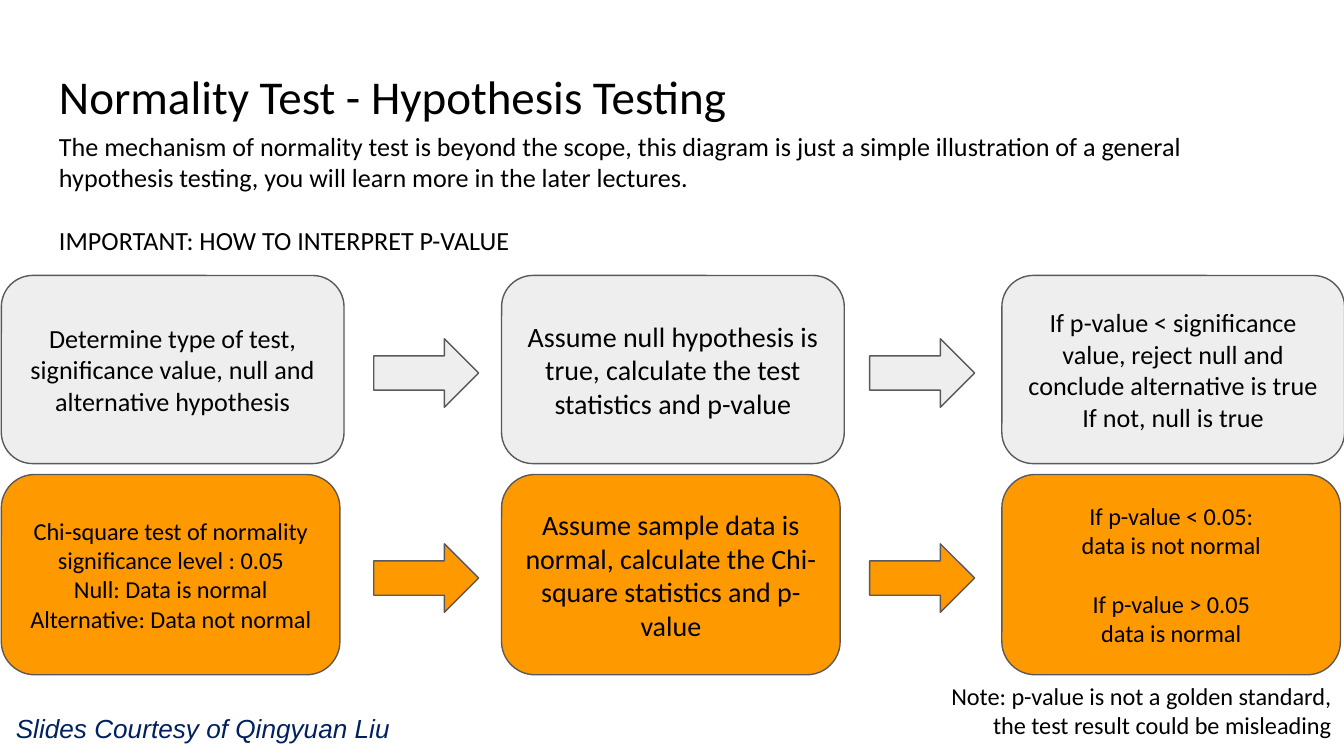
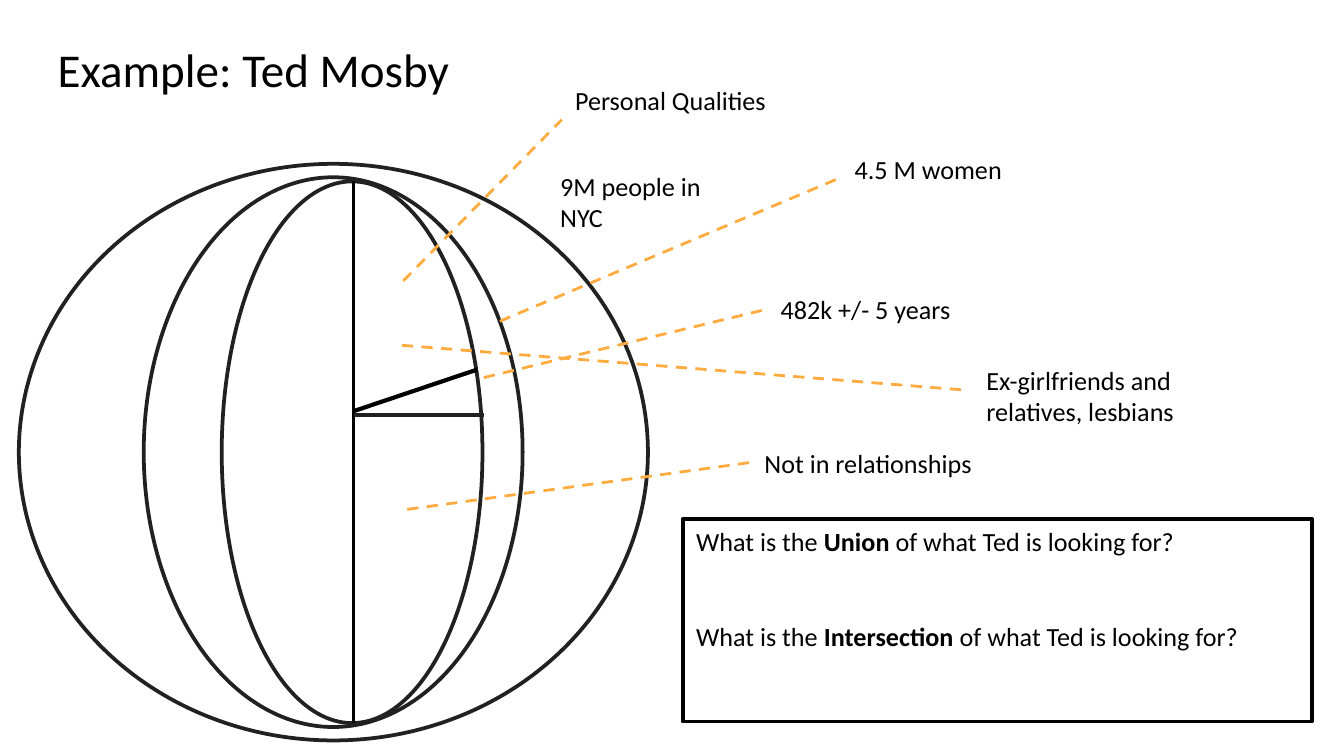
from lxml import etree
from pptx import Presentation
from pptx.dml.color import RGBColor
from pptx.enum.dml import MSO_LINE
from pptx.enum.shapes import MSO_CONNECTOR, MSO_SHAPE
from pptx.enum.text import MSO_ANCHOR, PP_ALIGN
from pptx.oxml.ns import qn
from pptx.util import Pt

STRAIGHT = MSO_CONNECTOR.STRAIGHT
DASH = MSO_LINE.DASH
PROCESS = MSO_SHAPE.FLOWCHART_ALTERNATE_PROCESS
ARROW = MSO_SHAPE.RIGHT_ARROW
OVAL = MSO_SHAPE.OVAL
RECTANGLE = MSO_SHAPE.RECTANGLE
MIDDLE, TOP = MSO_ANCHOR.MIDDLE, MSO_ANCHOR.TOP
LEFT, CENTER, RIGHT = PP_ALIGN.LEFT, PP_ALIGN.CENTER, PP_ALIGN.RIGHT

BLACK, WHITE, NAVY = "000000", "FFFFFF", "002060"
GREY, ORANGE, OUTLINE = "EEEEEE", "FF9900", "595959"
INK, CALLOUT = "212121", "FFAB40"
TITLE_SIZE = 25.2
color = RGBColor.from_string


def add_box(slide, kind, box, fill, line, width):
    shape = slide.shapes.add_shape(kind, *map(Pt, box))
    shape.shadow.inherit = False
    shape.fill.solid()
    shape.fill.fore_color.rgb = color(fill)
    shape.line.color.rgb = color(line)
    shape.line.width = Pt(width)
    return shape


def write(shape, texts, size=14, align=LEFT, anchor=TOP, inset=3.6,
          gaps=None, ink=BLACK, **font_format):
    """Fill a shape with paragraphs; ** toggles bold, gaps maps index to space before."""
    frame = shape.text_frame
    frame_format = {"word_wrap": True, "vertical_anchor": anchor,
                    "margin_top": Pt(inset), "margin_bottom": Pt(inset)}
    for name, value in frame_format.items():
        setattr(frame, name, value)
    for index, text in enumerate(texts):
        paragraph = frame.add_paragraph() if index else frame.paragraphs[0]
        paragraph.alignment = align
        paragraph.space_before = Pt((gaps or {}).get(index, 0))
        for part, words in enumerate(text.split("**")):
            run = paragraph.add_run()
            run.text = words
            run_format = {"name": "Calibri", "size": Pt(size), "bold": part % 2 == 1}
            for name, value in {**run_format, **font_format}.items():
                setattr(run.font, name, value)
            run.font.color.rgb = color(ink)


presentation = Presentation()
presentation.slide_width, presentation.slide_height = Pt(720), Pt(405)
slides = []
for title, left, top in [("Normality Test - Hypothesis Testing", 24.5, 28.8),
                         ("Example: Ted Mosby", 23.8, 14.4)]:
    slide = presentation.slides.add_slide(presentation.slide_layouts[6])
    title_box = slide.shapes.add_textbox(Pt(left), Pt(top), Pt(671), Pt(45.4))
    write(title_box, [title], TITLE_SIZE, inset=7.2)
    slides.append(slide)
testing_slide, example_slide = slides

# Slide 1: general procedure above, worked case below
general_steps = [
    (14, ["Determine type of test, significance value, null and alternative hypothesis"]),
    (15, ["Assume null hypothesis is true, calculate the test statistics and p-value"]),
    (14, ["If p-value < significance value, reject null and conclude alternative is true",
          "If not, null is true"]),
]
normality_steps = [
    (13, ["Chi-square test of normality", "significance level : 0.05",
          "Null: Data is normal", "Alternative: Data not normal"]),
    (15, ["Assume sample data is normal, calculate the Chi-square statistics and p-value"]),
    (13, ["If p-value < 0.05:", "data is not normal",
          "If p-value > 0.05", "data is normal"]),
]
rows = [(general_steps, GREY, 147.6, 183.6, 100.8, {}),
        (normality_steps, ORANGE, 254.2, 181.4, 107.3, {2: 15.9})]
for steps, fill, top, width, height, result_gaps in rows:
    for column, (size, texts) in enumerate(steps):
        box = (0.7 + 268 * column, top, width, height)
        step = add_box(testing_slide, PROCESS, box, fill, OUTLINE, 0.75)
        gaps = result_gaps if column == 2 else {}
        write(step, texts, size, CENTER, MIDDLE, 7.2, gaps)
    for column in range(2):
        box = (200.2 + 265.7 * column, top + height / 2 - 16.5, 56.2, 36.7)
        add_box(testing_slide, ARROW, box, fill, OUTLINE, 0.75)

introduction = testing_slide.shapes.add_textbox(Pt(24.5), Pt(62.6), Pt(661.7), Pt(80))
write(introduction, [
    "The mechanism of normality test is beyond the scope, this diagram is just a simple "
    "illustration of a general hypothesis testing, you will learn more in the later lectures.",
    "IMPORTANT: HOW TO INTERPRET P-VALUE"], inset=7.2, gaps={1: 17})
note = testing_slide.shapes.add_textbox(Pt(488.9), Pt(357.8), Pt(231.1), Pt(40.3))
write(note, ["Note: p-value is not a golden standard, the test result could be misleading"],
      13, RIGHT, inset=7.2)
courtesy = testing_slide.shapes.add_textbox(Pt(1.4), Pt(378), Pt(227.5), Pt(24.5))
write(courtesy, ["Slides Courtesy of Qingyuan Liu"], ink=NAVY, name="Arial", italic=True)

# Slide 2: nested groups, dividers and callouts
groups = [(10.1, 87.8, 337, 308.9), (77, 95, 203, 294.5), (118.8, 97.2, 139.7, 290.2)]
for box in groups:
    add_box(example_slide, OVAL, box, WHITE, INK, 2)

labels = [
    ("9M people in NYC", 293, 87.8, 109.4),
    ("4.5 M women", 450.7, 78.5, 130.3),
    ("482k +/- 5 years", 411.1, 153.4, 141.1),
    ("Not in relationships", 402.5, 236.2, 158.4),
    ("Personal Qualities", 301, 41.8, 170.6),
    ("Ex-girlfriends and relatives, lesbians", 521.3, 191.5, 136.1),
]
for text, left, top, width in labels:
    label = example_slide.shapes.add_textbox(Pt(left), Pt(top), Pt(width), Pt(24.5))
    write(label, [text])

dividers = [
    ((189.4, 97.2, 189.4, 387.4), BLACK, 1.5),
    ((189.4, 222.5, 259.2, 222.5), INK, 2),
    ((189.4, 220.3, 255.6, 198), BLACK, 2.25),
]
callouts = [
    (267.8, 172.1, 450.7, 95),
    (259.2, 202.3, 411.1, 165.6),
    (218.2, 272.9, 402.5, 247.7),
    (216, 150.5, 301, 64.1),
    (215.3, 185, 514.8, 208.8),
]
for ends, ink, width in dividers + [(ends, CALLOUT, 1.5) for ends in callouts]:
    connector = example_slide.shapes.add_connector(STRAIGHT, *map(Pt, ends))
    connector.line.color.rgb = color(ink)
    connector.line.width = Pt(width)
    if ink == CALLOUT:
        connector.line.dash_style = DASH
    etree.SubElement(connector._element.spPr, qn("a:effectLst"))

questions = add_box(example_slide, RECTANGLE, (365.8, 277.9, 337, 108.7), WHITE, BLACK, 2)
write(questions, ["What is the **Union **of what Ted is looking for?",
                  "What is the **Intersection **of what Ted is looking for?"], gaps={1: 34})

presentation.save("out.pptx")
